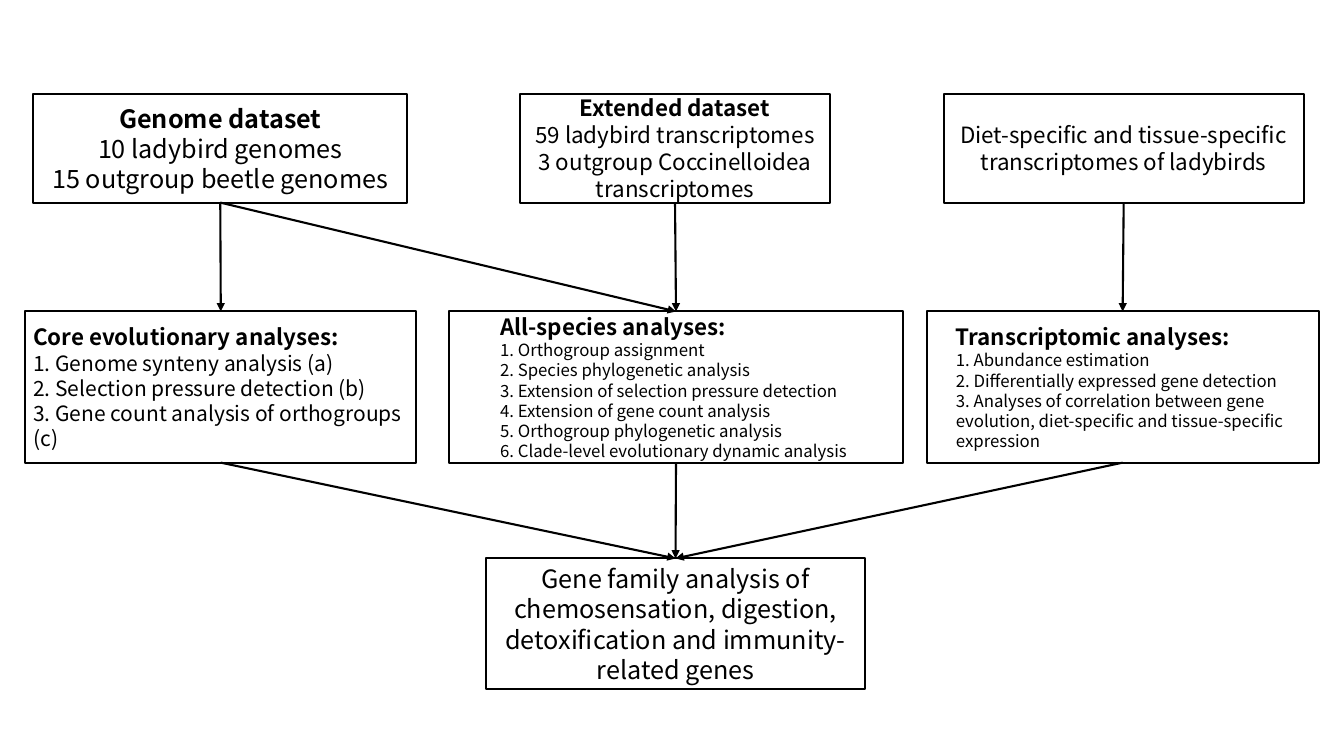
import pptx
import pptx.util
import pptx.dml.color
import pptx.enum.shapes
import pptx.enum.text
import pptx.oxml.ns
import lxml.etree

Inches = pptx.util.Inches
Pt = pptx.util.Pt
ALIGN = pptx.enum.text.PP_ALIGN
FONT = "Noto Sans CJK SC"
COLORS = {"ink": "000000"}
LINE_WIDTH = 1.5
TOP_ROW, MIDDLE_ROW, BOTTOM_ROW = 0.93, 3.09, 5.54
TOP_HEIGHT, MIDDLE_HEIGHT, BOTTOM_HEIGHT = 1.08, 1.5, 1.3


def ink():
    return pptx.dml.color.RGBColor.from_string(COLORS["ink"])


def add_box(slide, box, lines, sizes, has_heading=True, align=ALIGN.CENTER, indent=0):
    shape = slide.shapes.add_shape(
        pptx.enum.shapes.MSO_SHAPE.RECTANGLE, *(Inches(value) for value in box))
    shape.shadow.inherit = False
    shape.fill.background()
    shape.line.color.rgb = ink()
    shape.line.width = Pt(LINE_WIDTH)
    text_frame = shape.text_frame
    text_frame.word_wrap = True
    text_frame.vertical_anchor = pptx.enum.text.MSO_ANCHOR.MIDDLE
    text_frame.margin_left = text_frame.margin_right = Inches(0.08 + indent)
    text_frame.margin_right = Inches(0.08)
    text_frame.margin_top = text_frame.margin_bottom = Inches(0.04)
    text_frame.text = "\n".join(lines)
    heading_size, body_size = sizes
    for index, paragraph in enumerate(text_frame.paragraphs):
        paragraph.alignment = align
        is_heading = has_heading and index == 0
        for run in paragraph.runs:
            run.font.name = FONT
            run.font.size = Pt(heading_size if is_heading else body_size)
            run.font.bold = is_heading
            run.font.color.rgb = ink()
            properties = run.font._element
            east_asian = lxml.etree.SubElement(properties, pptx.oxml.ns.qn("a:ea"))
            east_asian.set("typeface", FONT)
    return shape


def add_arrow(slide, source, target):
    connector = slide.shapes.add_connector(
        pptx.enum.shapes.MSO_CONNECTOR.STRAIGHT, 0, 0, 0, 0)
    connector.begin_connect(source, 2)
    connector.end_connect(target, 0)
    connector.line.color.rgb = ink()
    connector.line.width = Pt(LINE_WIDTH)
    line = connector.line._get_or_add_ln()
    lxml.etree.SubElement(line, pptx.oxml.ns.qn("a:tailEnd")).set("type", "triangle")
    lxml.etree.SubElement(connector._element.spPr, pptx.oxml.ns.qn("a:effectLst"))


def add_datasets(slide, top, height):
    genome = add_box(
        slide, (0.33, top, 3.71, height),
        ["Genome dataset", "10 ladybird genomes", "15 outgroup beetle genomes"], (18, 18))
    extended = add_box(
        slide, (5.16, top, 3.07, height),
        ["Extended dataset", "59 ladybird transcriptomes",
         "3 outgroup Coccinelloidea transcriptomes"], (16, 16))
    specific = add_box(
        slide, (9.36, top, 3.57, height),
        ["Diet-specific and tissue-specific transcriptomes of ladybirds"], (16, 16),
        has_heading=False)
    return genome, extended, specific


def add_analyses(slide, top, height):
    core = add_box(
        slide, (0.25, top, 3.88, height),
        ["Core evolutionary analyses:",
         "1. Genome synteny analysis (a)",
         "2. Selection pressure detection (b)",
         "3. Gene count analysis of orthogroups (c)"],
        (16, 15), align=ALIGN.LEFT)
    all_species = add_box(
        slide, (4.45, top, 4.51, height),
        ["All-species analyses:",
         "1. Orthogroup assignment",
         "2. Species phylogenetic analysis",
         "3. Extension of selection pressure detection",
         "4. Extension of gene count analysis",
         "5. Orthogroup phylogenetic analysis",
         "6. Clade-level evolutionary dynamic analysis"],
        (16, 12), align=ALIGN.LEFT, indent=0.43)
    transcriptomic = add_box(
        slide, (9.19, top, 3.89, height),
        ["Transcriptomic analyses:",
         "1. Abundance estimation",
         "2. Differentially expressed gene detection",
         "3. Analyses of correlation between gene evolution, "
         "diet-specific and tissue-specific expression"],
        (16, 12), align=ALIGN.LEFT, indent=0.21)
    return core, all_species, transcriptomic


def add_gene_family(slide, top, height):
    return add_box(
        slide, (4.82, top, 3.76, height),
        ["Gene family analysis of chemosensation, digestion, "
         "detoxification and immunity-related genes"],
        (18, 18), has_heading=False)


def main():
    presentation = pptx.Presentation()
    presentation.slide_width = Inches(13.33)
    presentation.slide_height = Inches(7.5)
    slide = presentation.slides.add_slide(presentation.slide_layouts[6])
    datasets = add_datasets(slide, TOP_ROW, TOP_HEIGHT)
    analyses = add_analyses(slide, MIDDLE_ROW, MIDDLE_HEIGHT)
    gene_family = add_gene_family(slide, BOTTOM_ROW, BOTTOM_HEIGHT)
    for dataset, analysis in zip(datasets, analyses):
        add_arrow(slide, dataset, analysis)
        add_arrow(slide, analysis, gene_family)
    add_arrow(slide, datasets[0], analyses[1])
    presentation.save("out.pptx")


if __name__ == "__main__":
    main()
